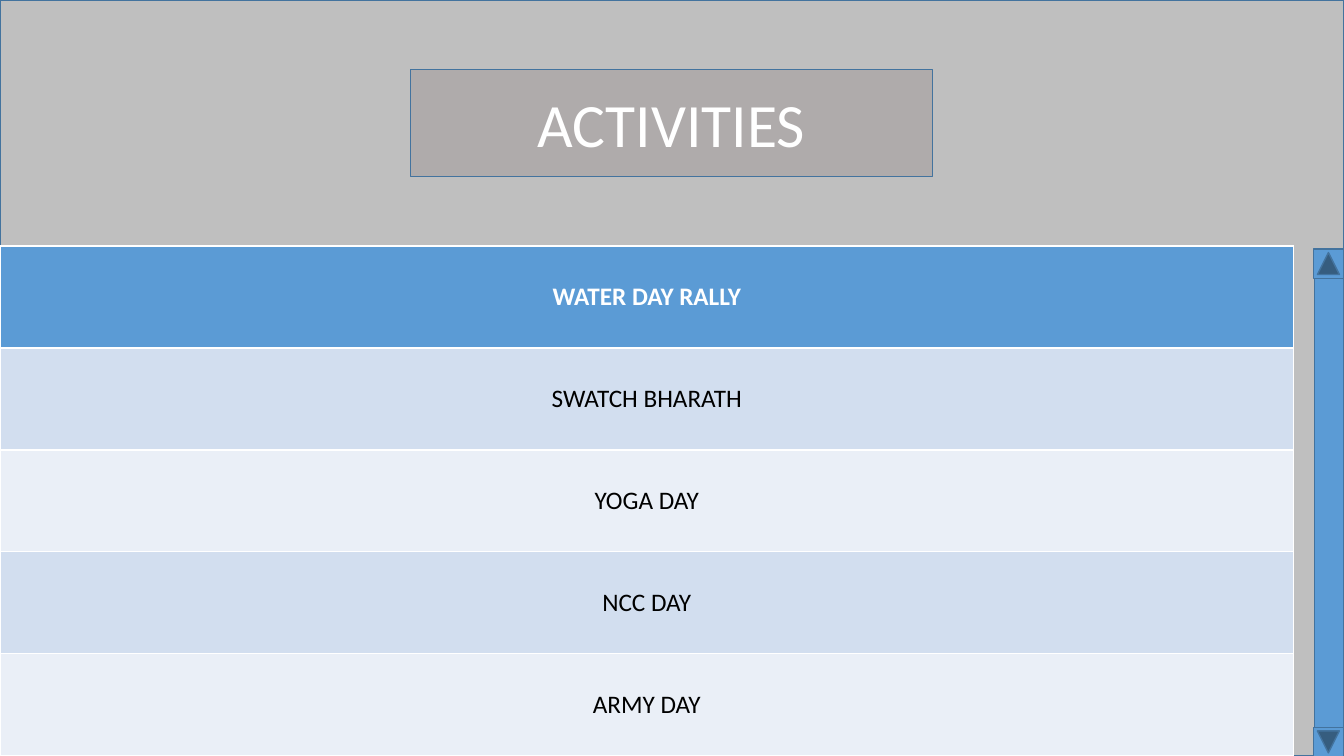
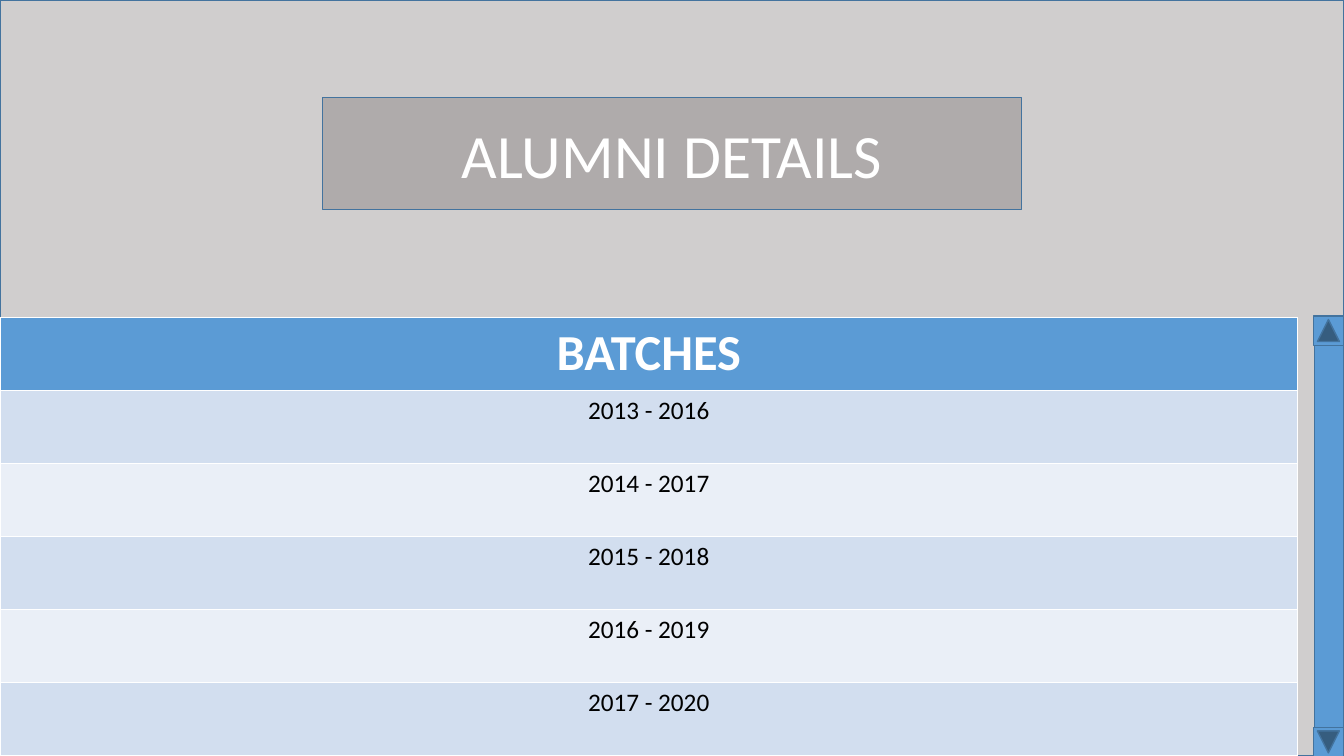
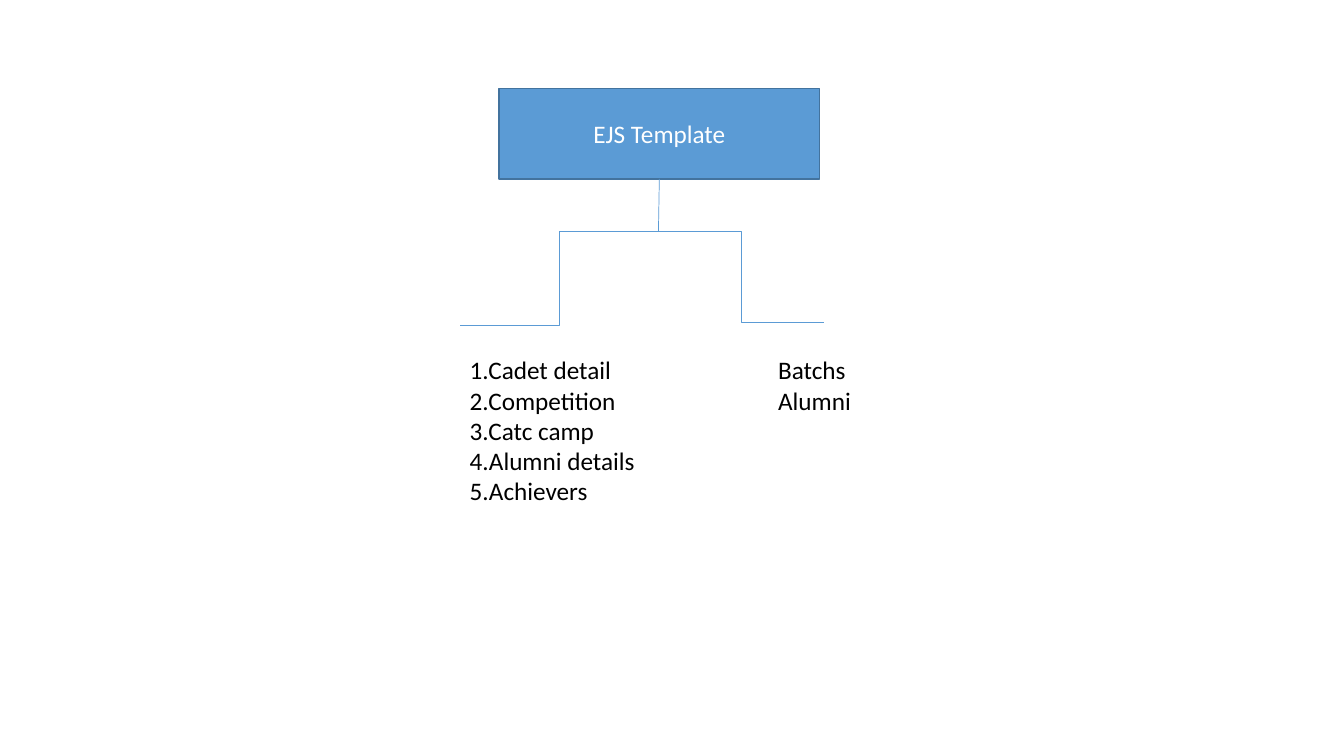
"""Build three slides: two scrolling lists and one template tree."""
from dataclasses import dataclass

from lxml import etree
from pptx import Presentation
from pptx.dml.color import RGBColor
from pptx.enum.shapes import MSO_CONNECTOR, MSO_SHAPE
from pptx.enum.text import MSO_ANCHOR, MSO_AUTO_SIZE, PP_ALIGN
from pptx.oxml.ns import qn
from pptx.shapes.autoshape import Shape
from pptx.slide import Slide
from pptx.text.text import TextFrame
from pptx.util import Inches, Pt

RECTANGLE = MSO_SHAPE.RECTANGLE
ARROW_BUTTON = MSO_SHAPE.ACTION_BUTTON_BACK_OR_PREVIOUS
STRAIGHT, ELBOW = MSO_CONNECTOR.STRAIGHT, MSO_CONNECTOR.ELBOW
LEFT, CENTER = PP_ALIGN.LEFT, PP_ALIGN.CENTER
TOP, MIDDLE = MSO_ANCHOR.TOP, MSO_ANCHOR.MIDDLE
NO_AUTOFIT = MSO_AUTO_SIZE.NONE

SLIDE_WIDTH = Inches(13.33)
SLIDE_HEIGHT = Inches(7.5)


@dataclass(frozen=True)
class Theme:
    """Colours, font and sizes shared by all slides."""

    font: str = "Calibri"
    accent: str = "5B9BD5"
    outline: str = "43739E"
    title_fill: str = "AFABAB"
    bands: tuple[str, str] = ("D2DEEF", "EAEFF7")
    white: str = "FFFFFF"
    black: str = "000000"
    title_size: int = 44
    heading_size: int = 36
    body_size: int = 18
    outline_width: float = 1
    connector_width: float = 0.5


THEME = Theme()


@dataclass(frozen=True)
class Frame:
    """A rectangle in percent of the slide's width and height."""

    left: float
    top: float
    width: float
    height: float

    def lengths(self) -> tuple[int, int, int, int]:
        """Return left, top, width and height as slide lengths."""
        return (across(self.left), down(self.top),
                across(self.width), down(self.height))


@dataclass(frozen=True)
class ListPage:
    """A titled list with a scroll bar beside it."""

    title: str
    title_frame: Frame
    backdrop: str
    table_frame: Frame
    scroll_top: float
    entries: tuple[str, ...]
    header_size: int
    anchor: MSO_ANCHOR


@dataclass(frozen=True)
class Branch:
    """A connector between two points in percent of the slide."""

    kind: MSO_CONNECTOR
    start: tuple[float, float]
    end: tuple[float, float]


@dataclass(frozen=True)
class Leaf:
    """A list of lines below a branch."""

    frame: Frame
    lines: tuple[str, ...]


LIST_PAGES = (
    ListPage("ACTIVITIES", Frame(30.53, 9.2, 38.86, 14.13), "BFBFBF",
             Frame(0, 32.53, 96.25, 67.47), 32.87,
             ("WATER DAY RALLY", "SWATCH BHARATH", "YOGA DAY", "NCC DAY",
              "ARMY DAY"),
             THEME.body_size, MIDDLE),
    ListPage("ALUMNI DETAILS", Frame(24, 12.93, 52, 14.8), "D0CECE",
             Frame(0, 42, 96.55, 58), 41.73,
             ("BATCHES", "2013 - 2016", "2014 - 2017", "2015 - 2018",
              "2016 - 2019", "2017 - 2020"),
             THEME.heading_size, TOP),
)

ROOT_FRAME = Frame(37.13, 11.73, 23.86, 11.93)
FORK = (48.99, 30.67)
BRANCHES = (
    Branch(ELBOW, FORK, (61.29, 42.67)),
    Branch(ELBOW, FORK, (34.21, 43.07)),
    Branch(STRAIGHT, (49.06, 23.66), FORK),
)
LEAVES = (
    Leaf(Frame(34.21, 46.27, 14.1, 25.6),
         ("1.Cadet detail", "2.Competition", "3.Catc camp",
          "4.Alumni details", "5.Achievers")),
    Leaf(Frame(57.16, 46.27, 10.13, 13.47), ("Batchs", "Alumni")),
)


def across(percent: float) -> int:
    """Convert a share of the slide's width to a length."""
    return round(SLIDE_WIDTH * percent / 100)


def down(percent: float) -> int:
    """Convert a share of the slide's height to a length."""
    return round(SLIDE_HEIGHT * percent / 100)


def format_text(frame: TextFrame, size: int, color: str,
                align: PP_ALIGN = CENTER, bold: bool = False) -> None:
    """Apply one style to all the text in a frame."""
    for para in frame.paragraphs:
        para.alignment = align
        for span in para.runs:
            span.font.name = THEME.font
            span.font.size = Pt(size)
            span.font.bold = bold
            span.font.color.rgb = RGBColor.from_string(color)


def paint(box: Shape, fill: str) -> None:
    """Give a box its fill and the shared outline."""
    box.fill.solid()
    box.fill.fore_color.rgb = RGBColor.from_string(fill)
    box.line.color.rgb = RGBColor.from_string(THEME.outline)
    box.line.width = Pt(THEME.outline_width)
    box.shadow.inherit = False


def add_box(page: Slide, kind: MSO_SHAPE, frame: Frame, fill: str,
            rotation: float = 0) -> Shape:
    """Add a painted preset shape."""
    box = page.shapes.add_shape(kind, *frame.lengths())
    paint(box, fill)
    box.rotation = rotation
    return box


def set_title(page: Slide, text: str, frame: Frame, fill: str,
              size: int) -> None:
    """Turn the title placeholder into a filled box."""
    title = page.shapes.title
    title.left, title.top, title.width, title.height = frame.lengths()
    paint(title, fill)
    title.text_frame.text = text
    title.text_frame.auto_size = NO_AUTOFIT
    title.text_frame.word_wrap = True
    title.text_frame.vertical_anchor = MIDDLE
    format_text(title.text_frame, size, THEME.white)


def add_list(page: Slide, content: ListPage) -> None:
    """Add the one-column table with a header and banded rows."""
    count = len(content.entries)
    holder = page.shapes.add_table(count, 1, *content.table_frame.lengths())
    for index, entry in enumerate(content.entries):
        header = index == 0
        cell = holder.table.cell(index, 0)
        cell.text_frame.text = entry
        cell.vertical_anchor = content.anchor
        fill = THEME.accent if header else THEME.bands[(index - 1) % 2]
        cell.fill.solid()
        cell.fill.fore_color.rgb = RGBColor.from_string(fill)
        format_text(cell.text_frame,
                    content.header_size if header else THEME.body_size,
                    THEME.white if header else THEME.black, bold=header)


def add_scroll_bar(page: Slide, top: float) -> None:
    """Add a track down to the slide's foot with a button at each end."""
    add_box(page, RECTANGLE, Frame(97.8, top, 2.2, 100 - top), THEME.accent)
    for button_top, rotation in ((top, 90), (96.13, 270)):
        add_box(page, ARROW_BUTTON, Frame(97.75, button_top, 2.18, 4),
                THEME.accent, rotation)


def add_branch(page: Slide, branch: Branch) -> None:
    """Add a thin connector without a shadow."""
    (start_x, start_y), (end_x, end_y) = branch.start, branch.end
    connector = page.shapes.add_connector(
        branch.kind, across(start_x), down(start_y),
        across(end_x), down(end_y))
    connector.line.color.rgb = RGBColor.from_string(THEME.accent)
    connector.line.width = Pt(THEME.connector_width)
    etree.SubElement(connector.element.spPr, qn("a:effectLst"))


def add_leaf(page: Slide, leaf: Leaf) -> None:
    """Add a text box with one paragraph per line."""
    box = page.shapes.add_textbox(*leaf.frame.lengths())
    box.text_frame.word_wrap = True
    box.text_frame.text = "\n".join(leaf.lines)
    format_text(box.text_frame, THEME.body_size, THEME.black, LEFT)


def build_list_page(page: Slide, content: ListPage) -> None:
    """Draw a list slide from back to front."""
    backdrop = add_box(page, RECTANGLE, Frame(0, 0, 100, 100),
                       content.backdrop)
    page.shapes.title.element.addprevious(backdrop.element)
    set_title(page, content.title, content.title_frame, THEME.title_fill,
              THEME.title_size)
    add_list(page, content)
    add_scroll_bar(page, content.scroll_top)


def build_tree_page(page: Slide) -> None:
    """Draw the template tree with its branches and leaves."""
    set_title(page, "EJS Template", ROOT_FRAME, THEME.accent,
              THEME.body_size)
    for branch in BRANCHES:
        add_branch(page, branch)
    for leaf in LEAVES:
        add_leaf(page, leaf)


def main() -> None:
    """Build and save the deck."""
    deck = Presentation()
    deck.slide_width, deck.slide_height = SLIDE_WIDTH, SLIDE_HEIGHT
    layout = deck.slide_layouts.get_by_name("Title Only")
    for content in LIST_PAGES:
        build_list_page(deck.slides.add_slide(layout), content)
    build_tree_page(deck.slides.add_slide(layout))
    deck.save("out.pptx")


main()
